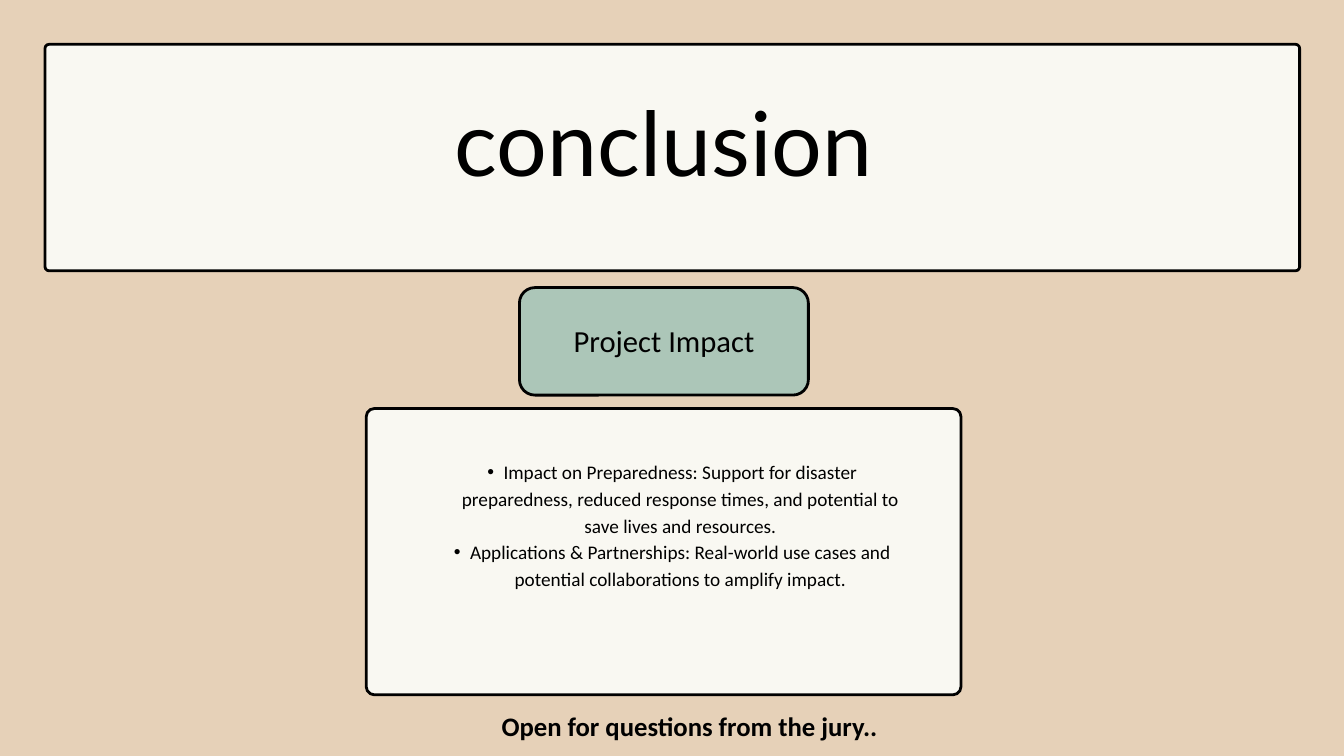
"""Build the conclusion slide with its cards and text."""
from lxml import etree
from pptx import Presentation
from pptx.dml.color import RGBColor
from pptx.enum.shapes import MSO_SHAPE
from pptx.enum.text import MSO_AUTO_SIZE, PP_ALIGN
from pptx.oxml.ns import qn
from pptx.util import Inches, Pt

ROUND = MSO_SHAPE.ROUNDED_RECTANGLE
GROW = MSO_AUTO_SIZE.SHAPE_TO_FIT_TEXT
CENTER = PP_ALIGN.CENTER
SAND, CREAM, SAGE, BLACK = "E6D1B8", "F9F8F2", "ACC6B8", "000000"


def paint(fill, color):
    fill.solid()
    fill.fore_color.rgb = RGBColor.from_string(color)


def write(para, text, size, lead, font="Calibri", bold=False, bullet=False):
    para.alignment = CENTER
    para.line_spacing = Pt(lead)
    if bullet:
        para.level = 1
        props = para._p.get_or_add_pPr()
        props.set("marL", str(Inches(0.49)))
        props.set("indent", str(Inches(-0.24)))
        etree.SubElement(props, qn("a:buFont")).set("typeface", "Arial")
        etree.SubElement(props, qn("a:buChar")).set("char", "•")
    run = para.add_run()
    run.text = text
    run.font.name = font
    run.font.size = Pt(size)
    run.font.bold = bold
    paint(run.font.fill, BLACK)


class Board:
    def __init__(self, slide):
        self.slide = slide
        paint(slide.background.fill, SAND)

    def card(self, left, top, width, height, curve, color):
        box = map(Inches, (left, top, width, height))
        shape = self.slide.shapes.add_shape(ROUND, *box)
        shape.adjustments[0] = curve / min(width, height)
        shape.shadow.inherit = False
        paint(shape.fill, color)
        paint(shape.line.fill, BLACK)
        shape.line.width = Pt(3)

    def text(self, left, top, width, height, lines, **style):
        box = map(Inches, (left, top, width, height))
        frame = self.slide.shapes.add_textbox(*box).text_frame
        frame.word_wrap = True
        frame.auto_size = GROW
        frame.margin_left = frame.margin_right = 0
        frame.margin_top = frame.margin_bottom = 0
        for i, line in enumerate(lines):
            para = frame.add_paragraph() if i else frame.paragraphs[0]
            write(para, line, **style)


def main():
    deck = Presentation()
    deck.slide_width, deck.slide_height = Inches(20), Inches(11.25)
    board = Board(deck.slides.add_slide(deck.slide_layouts[6]))

    board.card(0.67, 0.66, 18.67, 3.37, 0.06, CREAM)
    board.card(7.73, 4.28, 4.3, 1.6, 0.23, SAGE)
    board.text(7.89, 4.85, 3.98, 0.5, ["Project Impact"], size=32.8, lead=35.1)
    board.card(5.45, 6.08, 8.85, 4.26, 0.12, CREAM)
    points = [
        "Impact on Preparedness: Support for disaster preparedness, "
        "reduced response times, and potential to save lives and resources.",
        "Applications & Partnerships: Real-world use cases and "
        "potential collaborations to amplify impact.",
    ]
    board.text(6.28, 6.79, 7.2, 3.21, points, size=20.6, lead=28.8, bullet=True)
    board.text(2.59, 1.03, 14.57, 2.1, ["conclusion"],
               size=96, lead=134.4, font="Lato")
    board.text(6.66, 10.49, 7.2, 2.19, ["Open for questions from the jury.."],
               size=28.6, lead=40, bold=True)
    deck.save("out.pptx")


if __name__ == "__main__":
    main()
